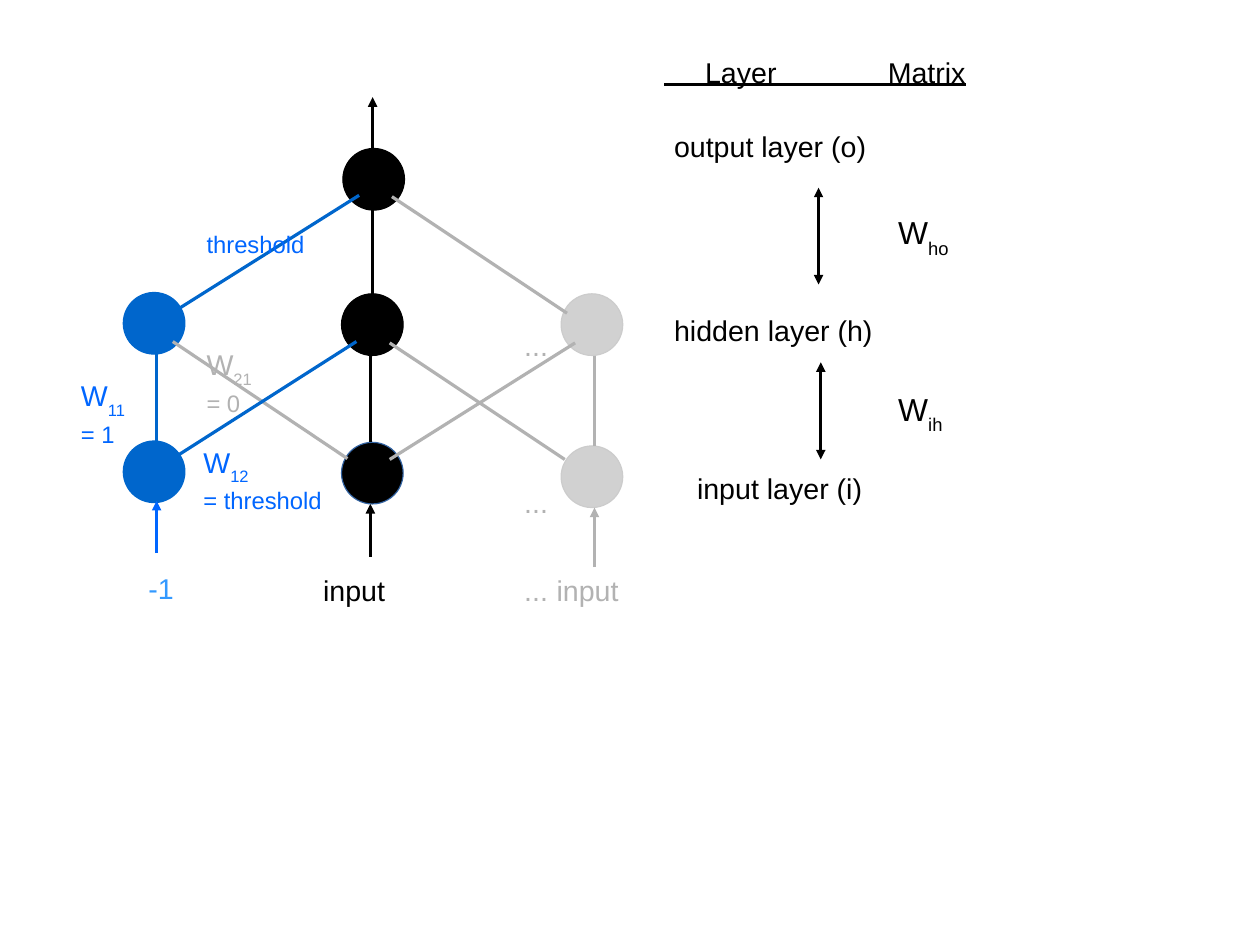
from lxml.etree import SubElement
from pptx import Presentation
from pptx.dml.color import RGBColor
from pptx.enum.shapes import MSO_CONNECTOR, MSO_SHAPE
from pptx.enum.text import MSO_AUTO_SIZE
from pptx.oxml.ns import qn
from pptx.util import Cm, Pt

BLACK, GREY, PALE = "000000", "B2B2B2", "CCCCCC"
BLUE, BRIGHT_BLUE, LIGHT_BLUE = "0066CC", "0066FF", "3399FF"
DIAMETER = 1.37


def paint(color_format, color):
    """Give a solid fill, a line or a font its hex colour."""
    if hasattr(color_format, "solid"):
        color_format.solid()
        color_format.fore_color.rgb = RGBColor.from_string(color)
    else:
        color_format.color.rgb = RGBColor.from_string(color)


presentation = Presentation()
presentation.slide_width, presentation.slide_height = Cm(28), Cm(21)
slide = presentation.slides.add_slide(presentation.slide_layouts[6])

# Neurons: left, top, fill, outline, opacity in percent
neurons = [
    (7.62, 3.3, BLACK, BLACK, 100),
    (7.59, 6.53, BLACK, BLACK, 100),
    (7.59, 9.83, BLACK, "3465A4", 100),
    (12.47, 6.53, BLACK, PALE, 18),
    (12.47, 9.91, BLACK, PALE, 18),
    (2.74, 6.5, BLUE, BLUE, 100),
    (2.74, 9.8, BLUE, BLUE, 100),
]
for left, top, fill, outline, opacity in neurons:
    shape = slide.shapes.add_shape(
        MSO_SHAPE.OVAL, Cm(left), Cm(top), Cm(DIAMETER), Cm(DIAMETER))
    shape.shadow.inherit = False
    paint(shape.fill, fill)
    paint(shape.line, outline)
    shape.line.width = Pt(0)
    if opacity < 100:
        color_element = shape.fill._xPr.find(".//" + qn("a:srgbClr"))
        SubElement(color_element, qn("a:alpha"), val=str(opacity * 1000))

# Connections: start x, start y, end x, end y, colour, ends with arrowheads
connections = [
    (8.23, 12.37, 8.23, 11.2, BLACK, ["tailEnd"]),
    (13.21, 12.6, 13.21, 11.28, GREY, ["tailEnd"]),
    (8.23, 7.9, 8.23, 9.83, BLACK, []),
    (13.21, 7.9, 13.21, 9.91, GREY, []),
    (8.66, 7.62, 12.55, 10.21, GREY, []),
    (12.78, 7.62, 8.66, 10.21, GREY, []),
    (18.19, 4.17, 18.19, 6.32, BLACK, ["headEnd", "tailEnd"]),
    (18.24, 8.05, 18.24, 10.21, BLACK, ["headEnd", "tailEnd"]),
    (8.28, 4.67, 8.28, 6.58, BLACK, []),
    (8.71, 4.37, 12.6, 6.96, GREY, []),
    (8.28, 3.35, 8.28, 2.16, BLACK, ["tailEnd"]),
    (14.76, 1.88, 21.46, 1.88, BLACK, []),
    (3.84, 7.59, 7.72, 10.19, GREY, []),
    (7.92, 7.59, 3.84, 10.19, BLUE, []),
    (7.98, 4.34, 3.86, 6.93, BLUE, []),
    (3.48, 7.87, 3.48, 9.8, BLUE, []),
    (3.48, 12.29, 3.48, 11.13, BRIGHT_BLUE, ["tailEnd"]),
]
for start_x, start_y, end_x, end_y, color, arrow_ends in connections:
    connector = slide.shapes.add_connector(
        MSO_CONNECTOR.STRAIGHT, Cm(start_x), Cm(start_y), Cm(end_x), Cm(end_y))
    paint(connector.line, color)
    connector.line.width = Pt(0)
    line_element = connector.line._get_or_add_ln()
    for arrow_end in arrow_ends:
        SubElement(line_element, qn("a:" + arrow_end), type="triangle")
    SubElement(connector._element.spPr, qn("a:effectLst"))

# Labels: left, top, width, height, colour, paragraphs of (text, size, subscript)
labels = [
    (1.55, 8.28, 1.73, 1.7, BRIGHT_BLUE, [("W", 18, "11"), ("= 1", 15, "")]),
    (4.27, 9.75, 3.61, 2.29, BRIGHT_BLUE, [("W", 18, "12"), ("= threshold", 15, "")]),
    (4.34, 7.59, 2.9, 1.96, GREY, [("W", 18, "21"), ("= 0", 15, "")]),
    (4.34, 4.98, 2.9, 1.96, BRIGHT_BLUE, [("threshold", 15, "")]),
    (3.05, 12.55, 2.59, 1.42, LIGHT_BLUE, [("-1", 18, "")]),
    (6.93, 12.6, 2.59, 1.42, BLACK, [("input", 18, "")]),
    (12.12, 12.6, 2.59, 1.42, GREY, [("input", 18, "")]),
    (15.42, 1.09, 2.39, 2.16, BLACK, [("Layer", 18, "")]),
    (19.48, 1.09, 2.39, 2.16, BLACK, [("Matrix", 18, "")]),
    (14.73, 2.74, 5.36, 1.68, BLACK, [("output layer (o)", 18, "")]),
    (14.73, 6.83, 5.61, 1.68, BLACK, [("hidden layer (h)", 18, "")]),
    (15.24, 10.34, 4.55, 1.42, BLACK, [("input layer (i)", 18, "")]),
    (19.71, 4.6, 2.67, 1.68, BLACK, [("W", 20, "ho")]),
    (19.71, 8.53, 1.73, 1.22, BLACK, [("W", 20, "ih")]),
]
for ellipsis_top in (7.16, 10.64, 12.6):
    labels.append((11.4, ellipsis_top, 2.9, 1.96, GREY, [("...", 18, "")]))

frame_format = {
    "word_wrap": True,
    "auto_size": MSO_AUTO_SIZE.SHAPE_TO_FIT_TEXT,
    "margin_left": Cm(0.25),
    "margin_right": Cm(0.25),
    "margin_top": Cm(0.13),
    "margin_bottom": Cm(0.13),
}
for left, top, width, height, color, lines in labels:
    text_box = slide.shapes.add_textbox(Cm(left), Cm(top), Cm(width), Cm(height))
    text_frame = text_box.text_frame
    for name, value in frame_format.items():
        setattr(text_frame, name, value)
    for index, (text, size, subscript) in enumerate(lines):
        paragraph = text_frame.add_paragraph() if index else text_frame.paragraphs[0]
        for content, baseline in ((text, 0), (subscript, -33000)):
            if not content:
                continue
            run = paragraph.add_run()
            run.text = content
            for name, value in {"name": "Arial", "size": Pt(size)}.items():
                setattr(run.font, name, value)
            paint(run.font, color)
            if baseline:
                run._r.get_or_add_rPr().set("baseline", str(baseline))

presentation.save("out.pptx")
